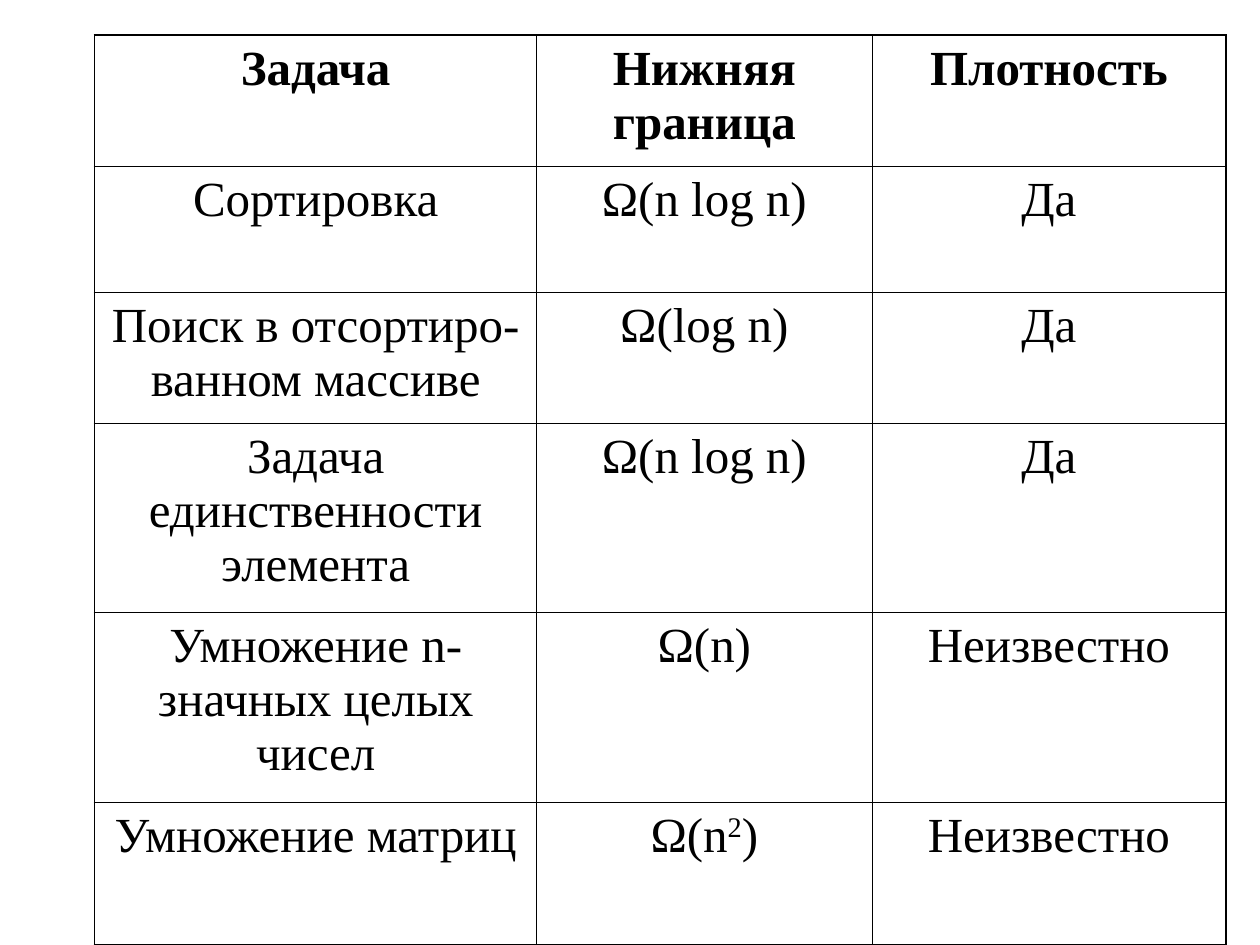
from dataclasses import dataclass

from lxml import etree
from pptx import Presentation
from pptx.dml.color import RGBColor
from pptx.enum import text
from pptx.oxml import ns
from pptx.util import Inches, Pt


@dataclass(frozen=True)
class Theme:
    font: str = "Times New Roman"
    size: float = 28
    space_before: float = 7
    ink: str = "000000"
    outer_line: float = 1.08
    inner_line: float = 0.45


THEME = Theme()
COLUMN_WIDTHS = [3.51, 2.66, 2.81]
ROW_HEIGHTS = [1.04, 1, 1.04, 1.5, 1.51, 1.13]
ROWS = [
    ["Задача", "Нижняя граница", "Плотность"],
    ["Сортировка", "Ω(n log n)", "Да"],
    ["Поиск в отсортиро-ванном массиве", "Ω(log n)", "Да"],
    ["Задача единственности элемента", "Ω(n log n)", "Да"],
    ["Умножение n-значных целых чисел", "Ω(n)", "Неизвестно"],
    ["Умножение матриц", "Ω(n^2^)", "Неизвестно"],
]


def write_cell(cell, content, bold):
    """Write centred text; a part between ^ marks is superscript."""
    para = cell.text_frame.paragraphs[0]
    para.alignment = text.PP_ALIGN.CENTER
    para.space_before = Pt(THEME.space_before)
    font_format = {"name": THEME.font, "size": Pt(THEME.size), "bold": bold}
    for index, part in enumerate(content.split("^")):
        span = para.add_run()
        span.text = part
        for name, value in font_format.items():
            setattr(span.font, name, value)
        span.font.color.rgb = RGBColor.from_string(THEME.ink)
        if index % 2:
            span.font._element.set("baseline", "30000")


def draw_borders(cell, outer_sides):
    """Give the cell thick lines on its outer sides and thin ones elsewhere."""
    properties = cell._tc.get_or_add_tcPr()
    for side in "LRTB":
        width = THEME.outer_line if side in outer_sides else THEME.inner_line
        line = etree.SubElement(properties, ns.qn(f"a:ln{side}"), w=str(Pt(width)))
        fill = etree.SubElement(line, ns.qn("a:solidFill"))
        etree.SubElement(fill, ns.qn("a:srgbClr"), val=THEME.ink)


def sides_on_edge(row, column):
    edges = {
        "L": column == 0,
        "R": column == len(COLUMN_WIDTHS) - 1,
        "T": row == 0,
        "B": row == len(ROWS) - 1,
    }
    return {side for side, on_edge in edges.items() if on_edge}


def add_bounds_table(page):
    frame = page.shapes.add_table(
        len(ROWS), len(COLUMN_WIDTHS), Inches(0.75), Inches(0.28),
        Inches(sum(COLUMN_WIDTHS)), Inches(sum(ROW_HEIGHTS)),
    )
    table = frame.table
    table.horz_banding = False
    for column, width in zip(table.columns, COLUMN_WIDTHS):
        column.width = Inches(width)
    for row, height in zip(table.rows, ROW_HEIGHTS):
        row.height = Inches(height)
    for row, contents in enumerate(ROWS):
        for column, content in enumerate(contents):
            cell = table.cell(row, column)
            write_cell(cell, content, bold=row == 0)
            draw_borders(cell, sides_on_edge(row, column))
            cell.fill.background()


def main():
    deck = Presentation()
    deck.slide_width, deck.slide_height = Inches(10), Inches(7.5)
    page = deck.slides.add_slide(deck.slide_layouts[6])
    add_bounds_table(page)
    deck.save("out.pptx")


if __name__ == "__main__":
    main()
